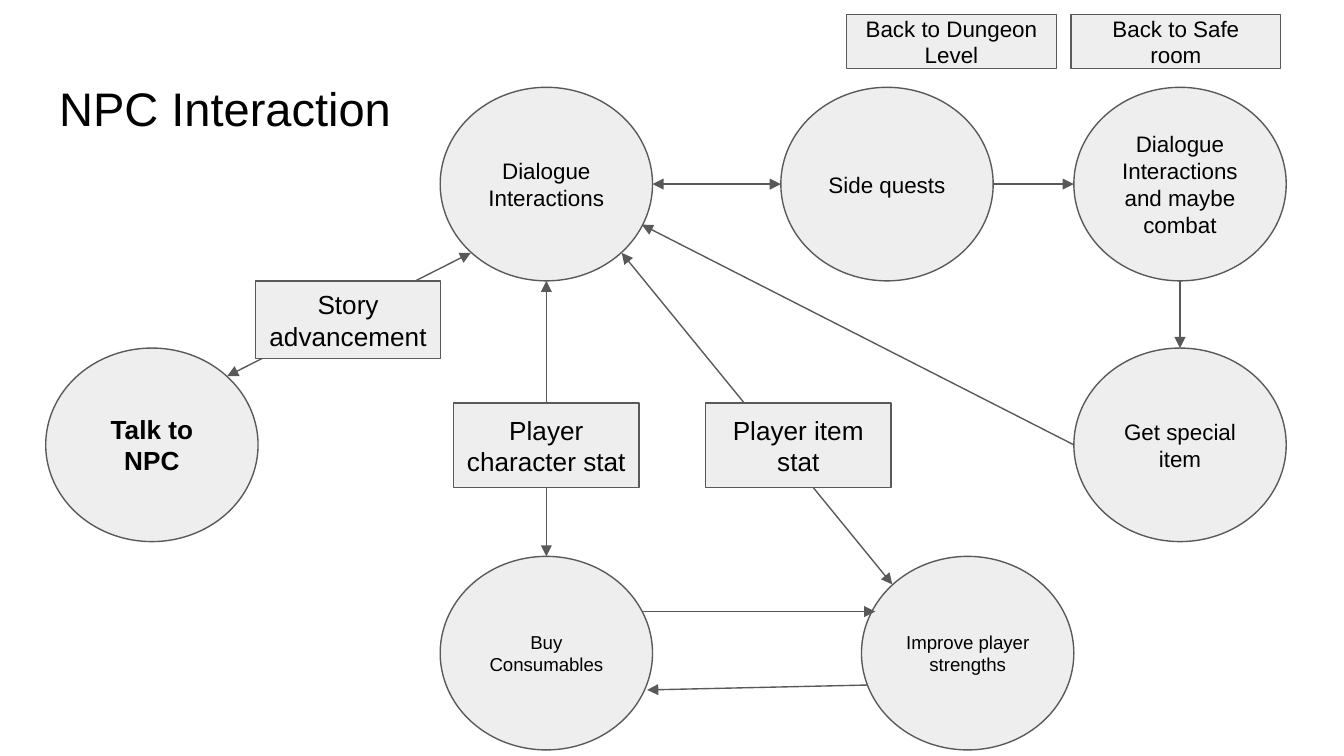
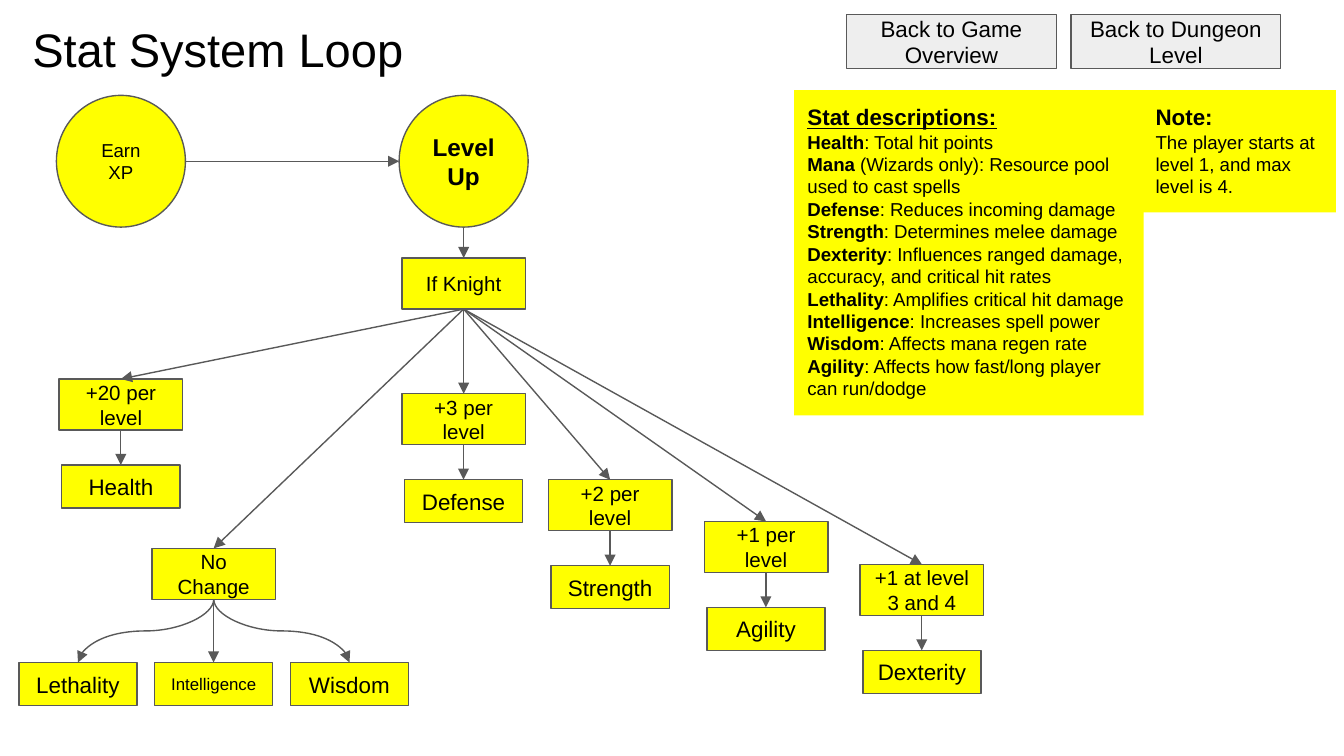
from lxml import etree
from pptx import Presentation
from pptx.dml.color import RGBColor
from pptx.enum.shapes import MSO_CONNECTOR, MSO_SHAPE
from pptx.enum.text import MSO_ANCHOR, MSO_AUTO_SIZE, PP_ALIGN
from pptx.oxml.ns import qn
from pptx.util import Inches, Pt

CELL = Inches(0.1)  # the grid is 100 columns by 56.25 rows
COLUMNS, ROWS = 100, 56.25
TITLE_ONLY = 5
FONT = "Arial"
BLACK, GRAY, YELLOW, OUTLINE = "000000", "EEEEEE", "FFFF00", "595959"
OVAL, RECTANGLE = MSO_SHAPE.OVAL, MSO_SHAPE.RECTANGLE
STRAIGHT, CURVE = MSO_CONNECTOR.STRAIGHT, MSO_CONNECTOR.CURVE
LEFT, CENTER = PP_ALIGN.LEFT, PP_ALIGN.CENTER
TOP, MIDDLE = MSO_ANCHOR.TOP, MSO_ANCHOR.MIDDLE
FIXED, GROW = MSO_AUTO_SIZE.NONE, MSO_AUTO_SIZE.SHAPE_TO_FIT_TEXT

CIRCLE = (15.8, 14.4)
SMALL_CIRCLE = (9.6, 9.8)
GAIN_BOX = (9.2, 3.8)
STAT_BOX = (8.8, 3.2)
DIAGONAL = 0.71

GAINS = [  # centre column, top row, gain, stat
    (9, 28.2, "+20 per level", "Health"),
    (34.5, 29.3, "+3 per level", "Defense"),
    (45.4, 35.7, "+2 per level", "Strength"),
    (57, 38.8, "+1 per level", "Agility"),
    (68.6, 42, "+1 at level 3 and 4", "Dexterity"),
]
UNCHANGED = [("Lethality", 12), ("Intelligence", 9), ("Wisdom", 12)]
DESCRIPTIONS = [
    ("Health", ": Total hit points"),
    ("Mana ", "(Wizards only): Resource pool used to cast spells"),
    ("Defense", ": Reduces incoming damage"),
    ("Strength", ": Determines melee damage"),
    ("Dexterity", ": Influences ranged damage, accuracy, and critical hit rates"),
    ("Lethality", ": Amplifies critical hit damage"),
    ("Intelligence", ": Increases spell power"),
    ("Wisdom", ": Affects mana regen rate"),
    ("Agility", ": Affects how fast/long player can run/dodge"),
]


def cells(count):
    return round(count * CELL)


def color(value):
    return RGBColor.from_string(value)


def add_text(frame, text, size=12, bold=False, underline=False,
             align=LEFT, same_line=False):
    """Append a span, in a new paragraph unless same_line is set."""
    para = frame.paragraphs[-1]
    if para.runs and not same_line:
        para = frame.add_paragraph()
    para.alignment = align
    span = para.add_run()
    span.text = text
    span.font.name = FONT
    span.font.size = Pt(size)
    span.font.bold = bold
    span.font.underline = underline
    span.font.color.rgb = color(BLACK)


def set_frame(frame, anchor, fit=FIXED):
    frame.word_wrap = True
    frame.auto_size = fit
    frame.vertical_anchor = anchor
    frame.margin_left = frame.margin_right = CELL
    frame.margin_top = frame.margin_bottom = CELL


def add_page(deck, title, left, top, links):
    """Add a slide with its title and the two link boxes at top right."""
    page = deck.slides.add_slide(deck.slide_layouts[TITLE_ONLY])
    holder = page.shapes.title
    holder.left, holder.top = cells(left), cells(top)
    holder.width, holder.height = cells(93.2), cells(6.3)
    set_frame(holder.text_frame, TOP)
    add_text(holder.text_frame, title, size=25.2)
    for index, label in enumerate(links):
        add_node(page, label, 70.8 + 16.7 * index, 1.1, (15.6, 4))
    return page


def add_block(page, kind, left, top, width, height, fill):
    block = page.shapes.add_shape(
        kind, cells(left), cells(top), cells(width), cells(height))
    block.shadow.inherit = False
    block.fill.solid()
    block.fill.fore_color.rgb = color(fill)
    return block


def add_node(page, label, center, top, size, kind=RECTANGLE, fill=GRAY,
             points=12, bold=False):
    """Add an outlined shape centred on a column, with a centred label."""
    width, height = size
    node = add_block(page, kind, center - width / 2, top, width, height, fill)
    node.line.color.rgb = color(OUTLINE)
    node.line.width = Pt(0.75)
    set_frame(node.text_frame, MIDDLE)
    add_text(node.text_frame, label, size=points, bold=bold, align=CENTER)
    return node


def add_note(page, left, top, width, height):
    note = add_block(page, RECTANGLE, left, top, width, height, YELLOW)
    note.line.fill.background()
    set_frame(note.text_frame, TOP, GROW)
    return note.text_frame


def site(node, across, down):
    """Point of a node, in half sizes from its centre."""
    return (round(node.left + node.width * (1 + across) / 2),
            round(node.top + node.height * (1 + down) / 2))


def add_arrow(page, start, end, kind=STRAIGHT, both=False):
    arrow = page.shapes.add_connector(kind, *start, *end)
    arrow.line.color.rgb = color(OUTLINE)
    arrow.line.width = Pt(0.75)
    line = arrow.line._get_or_add_ln()
    for name in ("headEnd", "tailEnd") if both else ("tailEnd",):
        etree.SubElement(line, qn("a:" + name), type="triangle")
    etree.SubElement(arrow._element.spPr, qn("a:effectLst"))
    return arrow


def add_drop(page, upper, lower):
    """Join two nodes by a curve that leaves and arrives vertically."""
    (x1, y1), (x2, y2) = site(upper, 0, 1), site(lower, 0, -1)
    middle_x, middle_y = (x1 + x2) // 2, (y1 + y2) // 2
    half_width, half_height = (y2 - y1) // 2, abs(x2 - x1) // 2
    side = 1 if x2 >= x1 else -1
    arrow = add_arrow(
        page,
        (middle_x + side * half_width, middle_y - half_height),
        (middle_x - side * half_width, middle_y + half_height), CURVE)
    degrees = 270 if side == 1 else 90
    arrow._element.spPr.find(qn("a:xfrm")).set("rot", str(degrees * 60000))


def build_npc_page(deck):
    page = add_page(deck, "NPC Interaction", 3.4, 4.9,
                    ["Back to Dungeon Level", "Back to Safe room"])

    def circle(label, center, top, points=12, bold=False):
        return add_node(page, label, center, top, CIRCLE, OVAL,
                        points=points, bold=bold)

    talk = circle("Talk to NPC", 11.3, 25.9, 14, True)
    dialogue = circle("Dialogue Interactions", 40.65, 6.5)
    buy = circle("Buy Consumables", 40.65, 41.4, 10)
    improve = circle("Improve player strengths", 72, 41.4, 10)
    quests = circle("Side quests", 66, 6.5)
    combat = circle("Dialogue Interactions and maybe combat", 87.8, 6.5)
    item = circle("Get special item", 87.8, 25.9)

    for start, end, both in [
        (site(talk, DIAGONAL, -DIAGONAL), site(dialogue, -DIAGONAL, DIAGONAL), True),
        (site(improve, -DIAGONAL, -DIAGONAL), site(dialogue, DIAGONAL, DIAGONAL), True),
        (site(buy, 0, -1), site(dialogue, 0, 1), True),
        (site(dialogue, 1, 0), site(quests, -1, 0), True),
        (site(quests, 1, 0), site(combat, -1, 0), False),
        (site(combat, 0, 1), site(item, 0, -1), False),
        (site(item, -1, 0), site(dialogue, 0.9, 0.42), False),
        (site(buy, 0.9, -0.43), site(improve, -0.87, -0.43), False),
        (site(improve, -0.95, 0.33), site(buy, 0.95, 0.38), False),
    ]:
        add_arrow(page, start, end, both=both)

    for label, center, top, height in [
        ("Story advancement", 25.9, 20.9, 5.8),
        ("Player character stat", 40.65, 30, 6.3),
        ("Player item stat", 59.4, 30, 6.3),
    ]:
        add_node(page, label, center, top, (13.8, height), points=14)


def build_stat_page(deck):
    page = add_page(deck, "Stat System Loop", 1.4, 0.5,
                    ["Back to Game Overview", "Back to Dungeon Level"])

    def gain_box(label, center, top):
        return add_node(page, label, center, top, GAIN_BOX,
                        fill=YELLOW, points=11)

    def stat_box(label, center, top, points=12):
        return add_node(page, label, center, top, STAT_BOX,
                        fill=YELLOW, points=points)

    earn = add_node(page, "Earn XP", 9, 7.1, SMALL_CIRCLE, OVAL, YELLOW, 10)
    level = add_node(page, "Level Up", 34.5, 7.1, SMALL_CIRCLE, OVAL, YELLOW,
                     13, True)
    knight = gain_box("If Knight", 34.5, 19.2)
    add_arrow(page, site(earn, 1, 0), site(level, -1, 0))
    add_arrow(page, site(level, 0, 1), site(knight, 0, -1))

    for center, top, gain, stat in GAINS:
        upper = gain_box(gain, center, top)
        lower = stat_box(stat, center, top + 6.4)
        add_arrow(page, site(knight, 0, 1), site(upper, 0, -1))
        add_drop(page, upper, lower)

    unchanged = gain_box("No Change", 15.9, 40.8)
    add_arrow(page, site(knight, 0, 1), site(unchanged, 0, -1))
    for index, (stat, points) in enumerate(UNCHANGED):
        lower = stat_box(stat, 5.8 + 10.1 * index, 49.3, points)
        add_drop(page, unchanged, lower)

    stats = add_note(page, 59.1, 6.7, 26, 24.2)
    add_text(stats, "Stat descriptions:", bold=True, underline=True)
    for name, meaning in DESCRIPTIONS:
        add_text(stats, name, size=10, bold=True)
        add_text(stats, meaning, size=10, same_line=True)
    note = add_note(page, 85, 6.7, 14.4, 9.1)
    add_text(note, "Note:", bold=True)
    add_text(note, "The player starts at level 1, and max level is 4.", size=10)


def main():
    deck = Presentation()
    deck.slide_width, deck.slide_height = cells(COLUMNS), cells(ROWS)
    build_npc_page(deck)
    build_stat_page(deck)
    deck.save("out.pptx")


if __name__ == "__main__":
    main()
